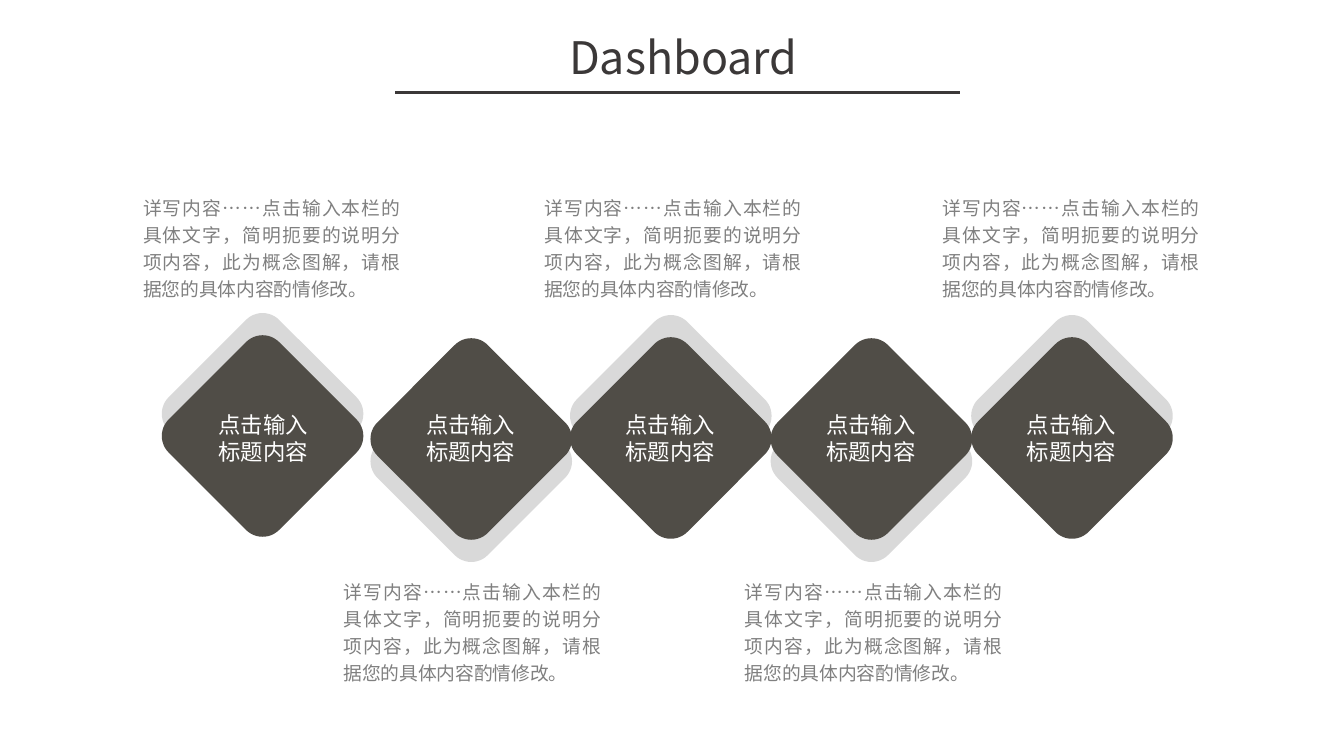
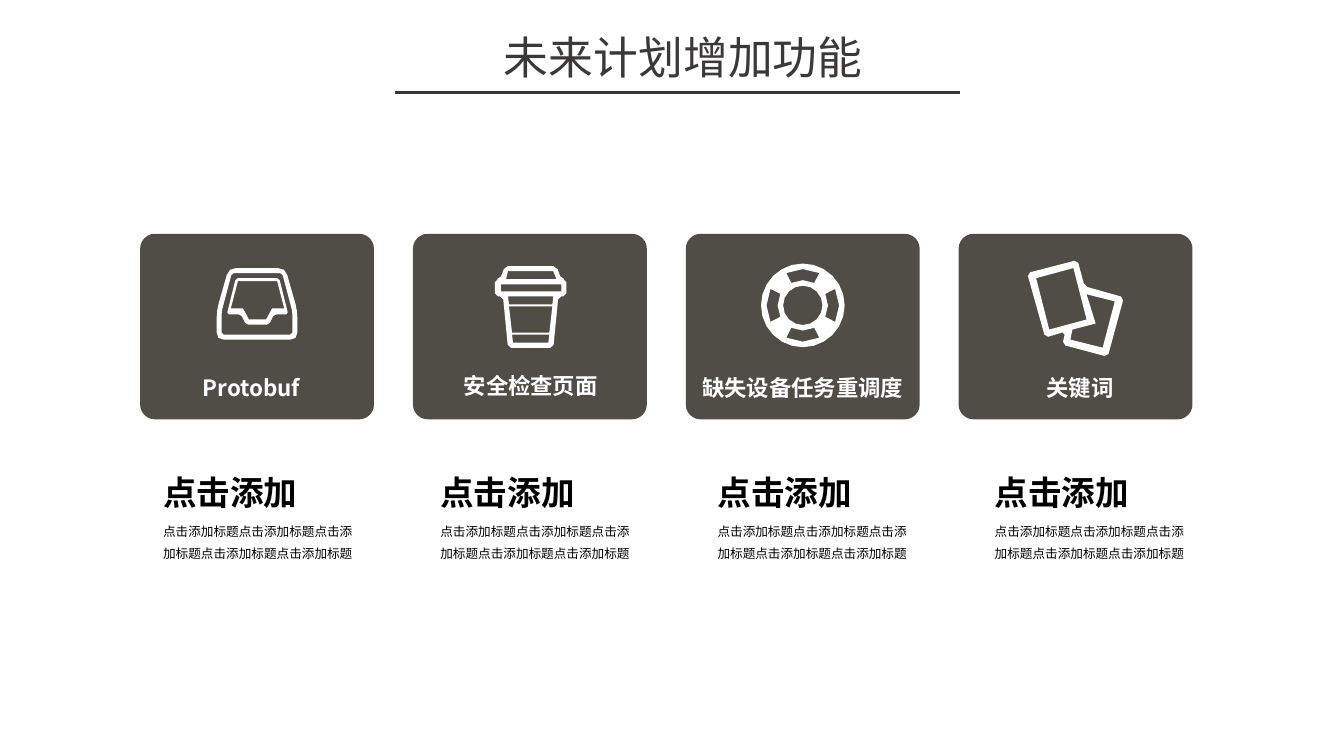
from dataclasses import dataclass
from math import cos, radians, sin

from lxml.etree import SubElement
from pptx import Presentation
from pptx.dml.color import RGBColor
from pptx.enum.shapes import MSO_CONNECTOR, MSO_SHAPE
from pptx.enum.text import MSO_ANCHOR, MSO_AUTO_SIZE, PP_ALIGN
from pptx.oxml.ns import qn
from pptx.util import Emu, Pt

PX = 9144  # EMU in one px, 100 px to the inch


@dataclass(frozen=True)
class Theme:
    font: str = "Noto Sans CJK SC"
    title: str = "3B3838"
    dark: str = "504D47"
    shade: str = "D9D9D9"
    note: str = "808080"
    white: str = "FFFFFF"
    black: str = "000000"
    title_pt: float = 32
    heading_pt: float = 24
    label_pt: float = 16
    note_pt: float = 13.33
    small_pt: float = 9


THEME = Theme()

# Content
DIAMOND_LABEL = "点击输入标题内容"
DIAMOND_NOTE = ("详写内容……点击输入本栏的具体文字，简明扼要的说明分项内容，"
                "此为概念图解，请根据您的具体内容酌情修改。")
CAPTION_HEAD = "点击添加"
CAPTION_BODY = "点击添加标题" * 5
# Left and top of each diamond, left of its label, left of its note
DIAMONDS = [(183, 355, 195, 142), (390, 358, 401, 341), (588, 357, 599, 540),
            (787, 358, 798, 739), (986, 357, 997, 935)]
# Text, left, top and width of each card label
CARD_LABELS = [("Protobuf", 184, 371, 131), ("安全检查页面", 449, 369, 155),
               ("缺失设备任务重调度", 684, 371, 225), ("关键词", 1006, 371, 131)]


def px(*values):
    return [Emu(round(v * PX)) for v in values]


def apply(obj, **formats):
    for name, value in formats.items():
        setattr(obj, name, value)


# Elements
def write(tf, text, size, color, bold=False, inset=(10, 5),
          anchor=MSO_ANCHOR.TOP, align=PP_ALIGN.LEFT, spacing=1.0):
    dx, dy = px(*inset)
    apply(tf, word_wrap=True, auto_size=MSO_AUTO_SIZE.NONE,
          vertical_anchor=anchor, margin_left=dx, margin_right=dx,
          margin_top=dy, margin_bottom=dy)
    p = tf.paragraphs[0]
    apply(p, alignment=align, line_spacing=spacing)
    r = p.add_run()
    r.text = text
    apply(r.font, size=Pt(size), bold=bold, name=THEME.font)
    r.font.color.rgb = RGBColor.from_string(color)
    SubElement(r.font._element, qn("a:ea"), typeface=THEME.font)


def add_text(s, box, text, size, color, **formats):
    write(s.shapes.add_textbox(*px(*box)).text_frame, text, size, color, **formats)


def paint(sp, color):
    sp.shadow.inherit = False
    sp.fill.solid()
    sp.fill.fore_color.rgb = RGBColor.from_string(color)
    sp.line.fill.background()


def add_round_rect(s, box, color, radius, rotation=0):
    sp = s.shapes.add_shape(MSO_SHAPE.ROUNDED_RECTANGLE, *px(*box))
    sp.adjustments[0] = radius
    sp.rotation = rotation
    paint(sp, color)


def add_icon(s, contours):
    builder = None
    for contour in contours:
        points = [px(*point) for point in contour]
        if builder is None:
            builder = s.shapes.build_freeform(*points[0])
        else:
            builder.move_to(*points[0])
        builder.add_line_segments(points[1:], close=True)
    paint(builder.convert_to_shape(), THEME.white)


def add_titled_slide(prs, title):
    s = prs.slides.add_slide(prs.slide_layouts[5])
    sp = s.shapes.title
    left, top, width, height = px(375, 24, 606, 64)
    apply(sp, left=left, top=top, width=width, height=height)
    write(sp.text_frame, title, THEME.title_pt, THEME.title, align=PP_ALIGN.CENTER)
    rule = s.shapes.add_connector(MSO_CONNECTOR.STRAIGHT, *px(392, 92, 952, 92))
    rule.line.width = Pt(2)
    rule.line.color.rgb = RGBColor.from_string(THEME.title)
    SubElement(rule._element.spPr, qn("a:effectLst"))
    return s


# Icon outlines
def toward(start, end, distance):
    dx, dy = end[0] - start[0], end[1] - start[1]
    t = distance / (dx * dx + dy * dy) ** 0.5
    return start[0] + dx * t, start[1] + dy * t


def rounded(corners, radius):
    points = []
    for i, corner in enumerate(corners):
        a = toward(corner, corners[i - 1], radius)
        b = toward(corner, corners[(i + 1) % len(corners)], radius)
        middle = tuple((m + 2 * c + n) / 4 for m, c, n in zip(a, corner, b))
        points += [a, middle, b]
    return points


def chamfered(corners, cut):
    points = []
    for i, corner in enumerate(corners):
        points += [toward(corner, corners[i - 1], cut),
                   toward(corner, corners[(i + 1) % len(corners)], cut)]
    return points


def arc(center, radius, start, end, count):
    angles = [radians(start + (end - start) * k / count) for k in range(count + 1)]
    return [(center[0] + radius * cos(a), center[1] + radius * sin(a)) for a in angles]


def ring(center, radius, count):
    return arc(center, radius, 0, 360, count)[:-1]


def tray_frame():
    return [
        rounded([(227, 266), (283, 266), (295, 308), (295, 337),
                 (215, 337), (215, 308)], 7),
        chamfered([(230, 271), (280, 271), (290, 309), (290, 332),
                   (220, 332), (220, 309)], 2)]


def tray_inside():
    return [
        chamfered([(234, 276), (277, 276), (286, 312), (272, 312),
                   (267, 322), (244, 322), (239, 312), (225, 312)], 2),
        [(236, 279), (275, 279), (282, 306), (270, 306),
         (264, 317), (247, 317), (241, 306), (229, 306)]]


def cup():
    return [
        chamfered([(501, 264), (552, 264), (557, 277), (562, 277), (562, 294),
                   (554, 294), (549, 345), (504, 345), (499, 294), (491, 294),
                   (491, 277), (496, 277)], 3),
        [(504, 269), (549, 269), (552, 277), (502, 277)],
        [(497, 282), (557, 282), (557, 289), (497, 289)],
        [(504, 294), (549, 294), (548, 302), (505, 302)],
        [(505, 304), (548, 304), (545, 330), (508, 330)],
        [(508, 332), (545, 332), (544, 340), (509, 340)]]


def lifebuoy():
    center, half = (796.5, 303), 27
    windows = [arc(center, 36, a - half, a + half, 2) + arc(center, 25, a + half, a - half, 2)
               for a in range(0, 360, 90)]
    return [ring(center, 41.5, 24), ring(center, 19.5, 16)] + windows


def cards():
    return [
        chamfered([(1069, 258), (1076, 284), (1115, 295), (1099, 354),
                   (1054, 342), (1057, 329), (1037, 335), (1019, 271)], 3),
        [(1028, 276), (1065, 266), (1078, 317), (1041, 327)],
        [(1094, 345), (1062, 337), (1064, 327), (1087, 321), (1078, 292), (1106, 299)]]


# Slides
def build_dashboard(prs):
    s = add_titled_slide(prs, "Dashboard")
    for i, (left, top, label_left, note_left) in enumerate(DIAMONDS):
        above = i % 2 == 0
        rotation = 315 if above else 135
        shade_top = top - 22 if above else top + 22
        for y, color in ((shade_top, THEME.shade), (top, THEME.dark)):
            add_round_rect(s, (left, y, 155, 155), color, 0.15, rotation)
        add_text(s, (label_left, 420, 132, 29), DIAMOND_LABEL, THEME.label_pt,
                 THEME.white, inset=(13, 7), anchor=MSO_ANCHOR.MIDDLE,
                 align=PP_ALIGN.CENTER)
        add_text(s, (note_left, 191 if above else 572, 255, 108), DIAMOND_NOTE,
                 THEME.note_pt, THEME.note, inset=(0, 0),
                 align=PP_ALIGN.JUSTIFY, spacing=1.2)


def build_plans(prs):
    s = add_titled_slide(prs, "未来计划增加功能")
    for i, (label, left, top, width) in enumerate(CARD_LABELS):
        add_round_rect(s, (139 + 270.67 * i, 232, 232, 184), THEME.dark, 0.08)
        add_text(s, (left, top, width, 27), label, THEME.label_pt, THEME.white,
                 bold=True, inset=(0, 0), align=PP_ALIGN.CENTER)
        caption_left = 152 + 275 * i
        add_text(s, (caption_left, 463, 211, 50), CAPTION_HEAD, THEME.heading_pt,
                 THEME.black, bold=True)
        add_text(s, (caption_left, 507, 211, 53), CAPTION_BODY, THEME.small_pt,
                 THEME.black, spacing=1.5)
    for outline in (tray_frame, tray_inside, cup, lifebuoy, cards):
        add_icon(s, outline())


def main():
    prs = Presentation()
    width, height = px(1333.33, 750)
    apply(prs, slide_width=width, slide_height=height)
    build_dashboard(prs)
    build_plans(prs)
    prs.save("out.pptx")


if __name__ == "__main__":
    main()
